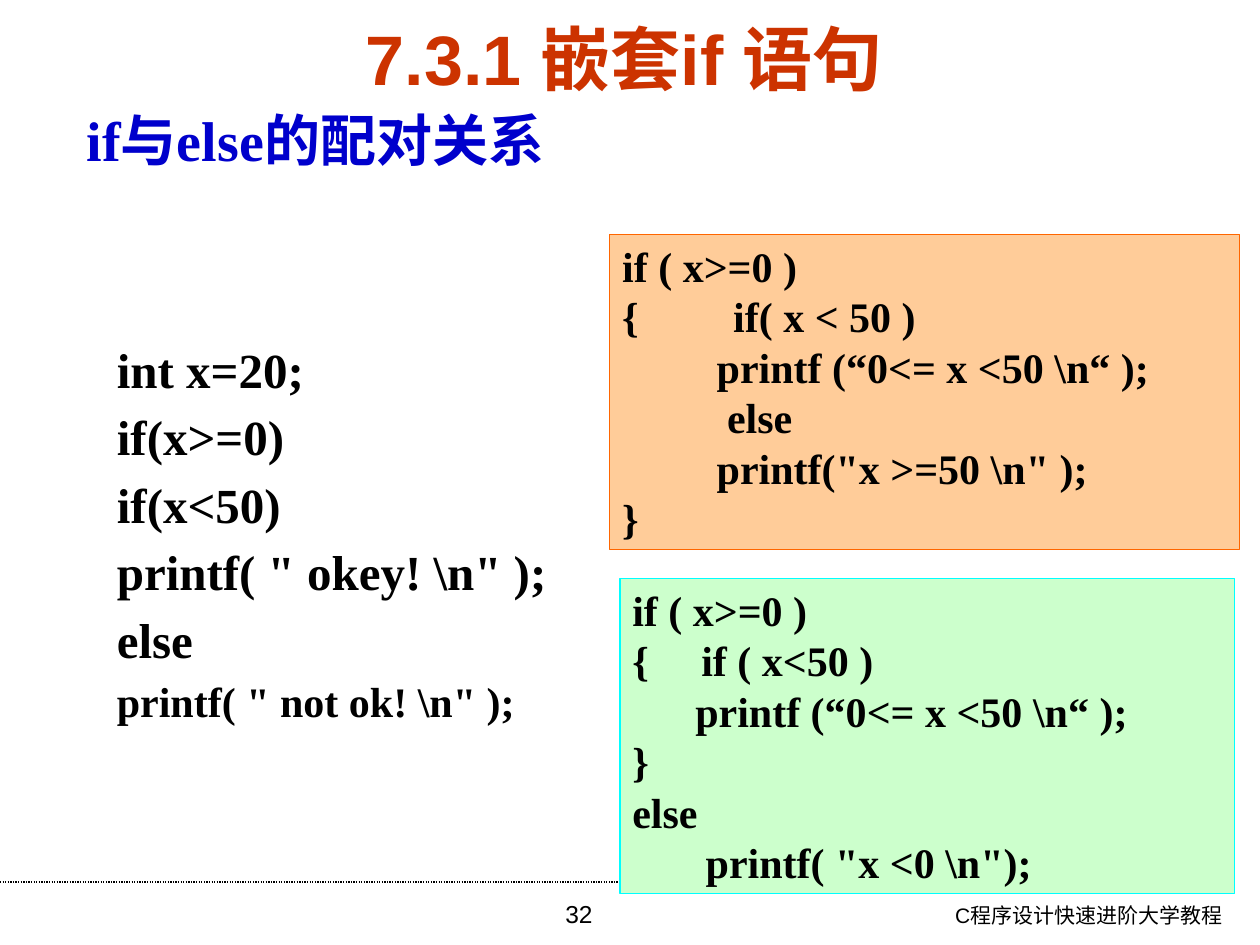
import pptx
import pptx.dml.color
import pptx.enum.dml
import pptx.enum.shapes
import pptx.enum.text
import pptx.oxml
import pptx.oxml.ns
import pptx.util
from lxml import etree

RGBColor = pptx.dml.color.RGBColor
BLACK = RGBColor(0x00, 0x00, 0x00)
RUST = RGBColor(0xCC, 0x33, 0x00)
BLUE = RGBColor(0x00, 0x00, 0xCC)
PEACH = RGBColor(0xFF, 0xCC, 0x99)
ORANGE = RGBColor(0xFF, 0x66, 0x00)
MINT = RGBColor(0xCC, 0xFF, 0xCC)
CYAN = RGBColor(0x00, 0xFF, 0xFF)

SANS = "Arial"
SERIF = "Times New Roman"
WIDTH = pptx.util.Inches(10)
HEIGHT = pptx.util.Inches(7.5)
ALIGN = pptx.enum.text.PP_ALIGN
ANCHOR = pptx.enum.text.MSO_ANCHOR

SAMPLE = [
    "int x=20;",
    "if(x>=0)",
    "if(x<50)",
    'printf( " okey! \\n" );',
    "else",
    'printf( " not ok! \\n" );',
]
ELSE_INSIDE = [
    "if ( x>=0 )",
    "{         if( x < 50 )",
    "\t   printf (“0<= x <50 \\n“ );",
    "          else",
    '\t   printf("x >=50 \\n" );',
    "}",
]
ELSE_OUTSIDE = [
    "if ( x>=0 )",
    "{     if ( x<50 )",
    "\tprintf (“0<= x <50 \\n“ );",
    "}",
    "else",
    '       printf( "x <0 \\n");',
]


def across(percent):
    return round(WIDTH * percent / 100)


def down(percent):
    return round(HEIGHT * percent / 100)


def place(left, top, width, height):
    """Turn percentages of the slide into lengths."""
    return across(left), down(top), across(width), down(height)


def write(box, lines, size, font=SERIF, color=BLACK, bold=True,
          align=ALIGN.LEFT, anchor=ANCHOR.TOP, spacing=None):
    """Fill a box with one paragraph per line and return the paragraphs."""
    frame = box.text_frame
    frame.word_wrap = True
    frame.vertical_anchor = anchor
    frame.text = "\n".join(lines)
    for para in frame.paragraphs:
        para.alignment = align
        para.line_spacing = spacing
        para.font.name = font
        para.font.size = pptx.util.Pt(size)
        para.font.bold = bold
        para.font.color.rgb = color
    return frame.paragraphs


def add_text(page, area, lines, size, **style):
    return write(page.shapes.add_textbox(*place(*area)), lines, size, **style)


def add_code_panel(page, area, lines, fill, outline):
    panel = page.shapes.add_shape(
        pptx.enum.shapes.MSO_SHAPE.RECTANGLE, *place(*area))
    panel.shadow.inherit = False
    panel.fill.solid()
    panel.fill.fore_color.rgb = fill
    panel.line.color.rgb = outline
    panel.line.width = pptx.util.Pt(0.75)
    write(panel, lines, 24)


def add_heading(page, area, text):
    """Add a heading with an arrow bullet and a hanging indent."""
    box = page.shapes.add_textbox(*place(*area))
    indent = across(6.7)
    properties = box.text_frame.paragraphs[0]._p.get_or_add_pPr()
    properties.set("marL", str(indent))
    properties.set("indent", str(-indent))
    bullet = etree.SubElement(properties, pptx.oxml.ns.qn("a:buChar"))
    bullet.set("char", "➢")
    write(box, [text], 32, color=BLUE, anchor=ANCHOR.MIDDLE)


def add_footer_rule(page):
    rule = page.shapes.add_connector(
        pptx.enum.shapes.MSO_CONNECTOR.STRAIGHT,
        0, down(93.33), across(75.8), down(93.33))
    rule.line.color.rgb = BLACK
    rule.line.width = pptx.util.Pt(0.75)
    rule.line.dash_style = pptx.enum.dml.MSO_LINE.ROUND_DOT
    etree.SubElement(rule._element.spPr, pptx.oxml.ns.qn("a:effectLst"))


def main():
    deck = pptx.Presentation()
    deck.slide_width, deck.slide_height = WIDTH, HEIGHT
    page = deck.slides.add_slide(deck.slide_layouts[6])

    add_footer_rule(page)
    add_text(page, (65.7, 94.8, 32.3, 5.2), ["C程序设计快速进阶大学教程"], 12,
             font=SANS, bold=False, align=ALIGN.RIGHT)
    add_text(page, (34.3, 94.5, 23.3, 5.5), ["32"], 14,
             font=SANS, bold=False, align=ALIGN.CENTER)
    add_text(page, (4.3, 2.8, 90.5, 6.67), ["7.3.1 嵌套if 语句"], 40,
             font=SANS, color=RUST, align=ALIGN.CENTER, anchor=ANCHOR.MIDDLE)
    add_heading(page, (5.9, 10.67, 89, 8), "if与else的配对关系")

    sample = add_text(page, (8.3, 34.3, 38.6, 47.3), SAMPLE, 28, spacing=1.15)
    sample[-1].font.size = pptx.util.Pt(24)
    add_code_panel(page, (48.4, 24.8, 50, 33.33), ELSE_INSIDE, PEACH, ORANGE)
    add_code_panel(page, (49.2, 61.2, 48.8, 33.33), ELSE_OUTSIDE, MINT, CYAN)

    deck.save("out.pptx")


if __name__ == "__main__":
    main()
